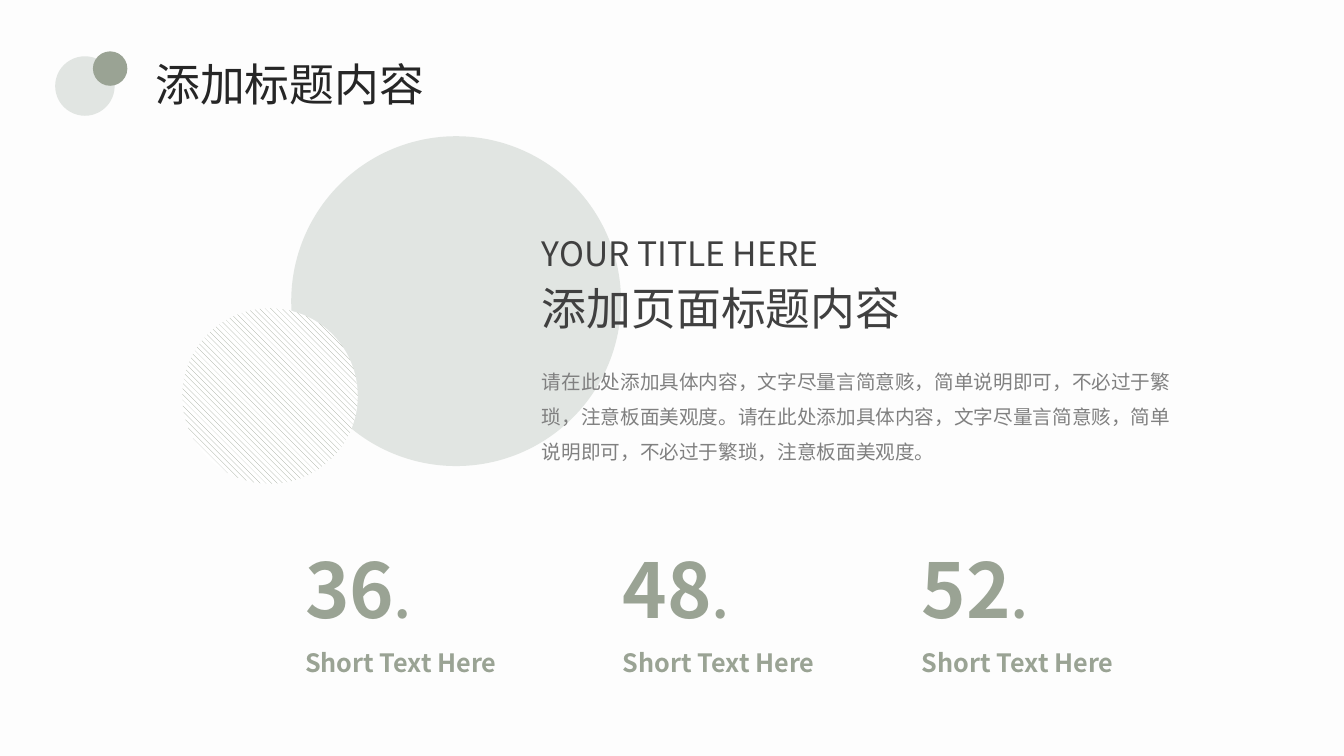
import dataclasses

import lxml.etree
import pptx
import pptx.dml.color
import pptx.enum.dml
import pptx.enum.shapes
import pptx.enum.text
import pptx.oxml.ns
import pptx.util

Pt = pptx.util.Pt


@dataclasses.dataclass(frozen=True)
class Theme:
    font: str = "Noto Sans CJK SC"
    background: str = "FDFDFD"
    mist: str = "E1E5E2"
    sage: str = "9AA394"
    white: str = "FFFFFF"
    title: str = "262626"
    heading: str = "404040"
    body: str = "808080"
    title_size: float = 32
    subtitle_size: float = 24
    body_size: float = 14
    figure_size: float = 54
    dot_size: float = 36
    label_size: float = 18


def rgb(value):
    return pptx.dml.color.RGBColor.from_string(value)


def write(paragraph, text, *, font, size, color, bold=False):
    """Append one formatted run, for Latin and East Asian text alike."""
    run = paragraph.add_run()
    run.text = text
    run.font.name = font
    run.font.size = Pt(size)
    run.font.bold = bold
    run.font.color.rgb = rgb(color)
    east_asian = lxml.etree.SubElement(
        run._r.get_or_add_rPr(), pptx.oxml.ns.qn("a:ea"))
    east_asian.set("typeface", font)


class SlideBuilder:
    def __init__(self, slide, theme):
        self.slide = slide
        self.theme = theme
        slide.background.fill.solid()
        slide.background.fill.fore_color.rgb = rgb(theme.background)

    def fill_text(self, shape, box, runs, color, *, bold=False, wrap=True,
                  grow=True, spacing=1.0):
        """Place a text shape and write its (text, size) runs."""
        shape.left, shape.top, shape.width, shape.height = map(Pt, box)
        frame = shape.text_frame
        frame.word_wrap = wrap
        sizing = pptx.enum.text.MSO_AUTO_SIZE
        frame.auto_size = sizing.SHAPE_TO_FIT_TEXT if grow else sizing.NONE
        frame.vertical_anchor = pptx.enum.text.MSO_ANCHOR.TOP
        paragraph = frame.paragraphs[0]
        paragraph.alignment = pptx.enum.text.PP_ALIGN.LEFT
        paragraph.line_spacing = spacing
        for text, size in runs:
            write(paragraph, text, font=self.theme.font, size=size,
                  color=color, bold=bold)

    def title(self, box, text):
        self.fill_text(self.slide.shapes.title, box,
                       [(text, self.theme.title_size)], self.theme.title,
                       wrap=False)

    def text(self, box, runs, color, **style):
        shape = self.slide.shapes.add_textbox(*map(Pt, box))
        self.fill_text(shape, box, runs, color, **style)

    def circle(self, left, top, diameter, color, *, hatched=False, group=None):
        shapes = (group or self.slide).shapes
        disc = shapes.add_shape(pptx.enum.shapes.MSO_SHAPE.OVAL, Pt(left),
                                Pt(top), Pt(diameter), Pt(diameter))
        disc.shadow.inherit = False
        disc.line.fill.background()
        if hatched:
            disc.fill.patterned()
            disc.fill.pattern = (
                pptx.enum.dml.MSO_PATTERN.WIDE_DOWNWARD_DIAGONAL)
            disc.fill.back_color.rgb = rgb(self.theme.white)
        else:
            disc.fill.solid()
        disc.fill.fore_color.rgb = rgb(color)

    def statistic(self, left, figure, label):
        theme = self.theme
        self.text((left, 384.5, 178.5, 72.7),
                  [(figure, theme.figure_size), (".", theme.dot_size)],
                  theme.sage, bold=True)
        self.text((left, 458.6, 167, 29), [(label, theme.label_size)],
                  theme.sage, bold=True)


def main():
    theme = Theme()
    deck = pptx.Presentation()
    deck.slide_width, deck.slide_height = Pt(960), Pt(540)
    title_only = deck.slide_layouts[5]
    page = SlideBuilder(deck.slides.add_slide(title_only), theme)

    # Header with its pair of dots
    page.title((103.7, 36.7, 208, 46), "添加标题内容")
    header_dots = page.slide.shapes.add_group_shape()
    page.circle(39.4, 40.2, 42.5, theme.mist, group=header_dots)
    page.circle(66.4, 36.7, 24.6, theme.sage, group=header_dots)

    # Overlapping circles
    page.circle(208, 97.3, 235.6, theme.mist)
    page.circle(130.2, 220.2, 125.4, theme.sage, hatched=True)

    # Headings and description
    text_left = 380
    page.text((text_left, 162.7, 250.6, 34),
              [("YOUR TITLE HERE", theme.subtitle_size)], theme.heading,
              grow=False)
    page.text((text_left, 197.3, 273, 46),
              [("添加页面标题内容", theme.title_size)], theme.heading, wrap=False)
    sentence = ("请在此处添加具体内容，文字尽量言简意赅，简单说明即可，"
                "不必过于繁琐，注意板面美观度。")
    page.text((text_left, 252, 465, 83.5),
              [(sentence * 2, theme.body_size)], theme.body, spacing=1.5)

    # Key figures
    for left, figure in ((210.8, "36"), (437.8, "48"), (651.4, "52")):
        page.statistic(left, figure, "Short Text Here")

    deck.save("out.pptx")


if __name__ == "__main__":
    main()
